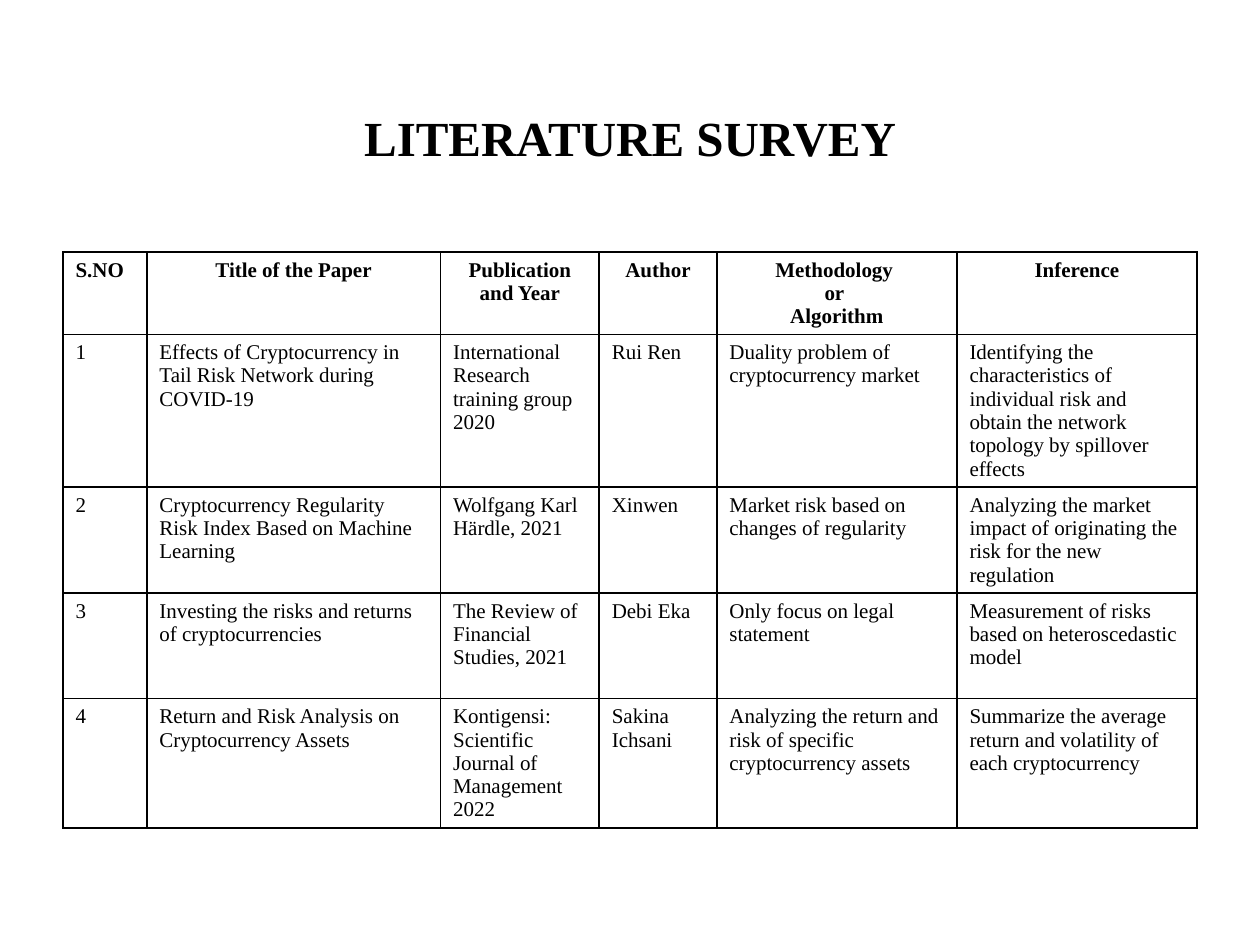
from dataclasses import dataclass

from lxml.etree import SubElement
from pptx import Presentation
from pptx.dml.color import RGBColor
from pptx.enum.text import MSO_ANCHOR, MSO_AUTO_SIZE, PP_ALIGN
from pptx.oxml.ns import qn
from pptx.util import Cm, Pt

FONT = "Times New Roman"
BLACK = RGBColor(0x00, 0x00, 0x00)
BORDER_WIDTH = Pt(1)
MARGIN = Cm(1.27)
CONTENT_WIDTH = Cm(22.86)
COLUMN_WIDTHS = (1.69, 5.92, 3.2, 2.37, 4.84, 4.84)
HEADER_HEIGHT = 1.66
HEADINGS = (
    "S.NO",
    "Title of the Paper",
    "Publication and Year",
    "Author",
    "Methodology \nor \nAlgorithm",
    "Inference",
)


@dataclass(frozen=True)
class Paper:
    title: str
    publication: str
    author: str
    method: str
    inference: str
    height: float


PAPERS = (
    Paper(
        "Effects of Cryptocurrency in Tail Risk Network during COVID-19",
        "International Research training group\n2020",
        "Rui Ren",
        "Duality problem of cryptocurrency market",
        "Identifying the characteristics of individual risk and obtain "
        "the network topology by spillover effects",
        3.07,
    ),
    Paper(
        "Cryptocurrency Regularity Risk Index Based on Machine Learning",
        "Wolfgang Karl Härdle, 2021",
        "Xinwen",
        "Market risk based on changes of regularity",
        "Analyzing the market impact of originating the risk for the new regulation",
        2.13,
    ),
    Paper(
        "Investing the risks and returns of cryptocurrencies",
        "The Review of Financial Studies, 2021",
        "Debi Eka",
        "Only focus on legal statement",
        "Measurement of risks based on heteroscedastic model",
        2.13,
    ),
    Paper(
        "Return and Risk Analysis on Cryptocurrency Assets",
        "Kontigensi: Scientific Journal of Management\n2022",
        "Sakina Ichsani",
        "Analyzing the return and risk of specific cryptocurrency assets",
        "Summarize the average return and volatility of each cryptocurrency",
        2.6,
    ),
)


def write_text(frame, text: str, size: int, bold: bool, align: PP_ALIGN) -> None:
    """Write one paragraph for each line of the text."""
    for index, line in enumerate(text.split("\n")):
        para = frame.add_paragraph() if index else frame.paragraphs[0]
        para.alignment = align
        span = para.add_run()
        span.text = line
        span.font.name = FONT
        span.font.size = Pt(size)
        span.font.bold = bold
        span.font.color.rgb = BLACK


def add_borders(cell) -> None:
    properties = cell._tc.get_or_add_tcPr()
    for side in ("lnL", "lnR", "lnT", "lnB"):
        line = SubElement(properties, qn(f"a:{side}"), w=str(int(BORDER_WIDTH)))
        fill = SubElement(line, qn("a:solidFill"))
        SubElement(fill, qn("a:srgbClr"), val=str(BLACK))


def add_title(page, text: str) -> None:
    title = page.shapes.title
    title.left, title.top = MARGIN, MARGIN
    title.width, title.height = CONTENT_WIDTH, Cm(2.97)
    frame = title.text_frame
    frame.auto_size = MSO_AUTO_SIZE.NONE
    frame.word_wrap = True
    frame.vertical_anchor = MSO_ANCHOR.MIDDLE
    frame.margin_left = frame.margin_right = 0
    frame.margin_top = frame.margin_bottom = 0
    write_text(frame, text, 28, True, PP_ALIGN.CENTER)


def add_survey_table(page) -> None:
    rows = [HEADINGS] + [
        (str(number), paper.title, paper.publication, paper.author,
         paper.method, paper.inference)
        for number, paper in enumerate(PAPERS, 1)
    ]
    heights = [HEADER_HEIGHT] + [paper.height for paper in PAPERS]
    table = page.shapes.add_table(
        len(rows), len(HEADINGS), MARGIN, Cm(5.08), CONTENT_WIDTH, Cm(sum(heights))
    ).table
    table.first_row = False
    table.horz_banding = False
    for column, width in zip(table.columns, COLUMN_WIDTHS):
        column.width = Cm(width)
    for row, height in zip(table.rows, heights):
        row.height = Cm(height)

    for row_index, texts in enumerate(rows):
        for column_index, text in enumerate(texts):
            cell = table.cell(row_index, column_index)
            add_borders(cell)
            cell.fill.background()
            heading = row_index == 0
            centred = heading and column_index > 0
            align = PP_ALIGN.CENTER if centred else PP_ALIGN.LEFT
            write_text(cell.text_frame, text, 12, heading, align)


def main() -> None:
    deck = Presentation()
    deck.slide_width, deck.slide_height = Cm(25.4), Cm(19.05)
    page = deck.slides.add_slide(deck.slide_layouts.get_by_name("Title Only"))
    add_title(page, "LITERATURE SURVEY")
    add_survey_table(page)
    deck.save("out.pptx")


if __name__ == "__main__":
    main()
